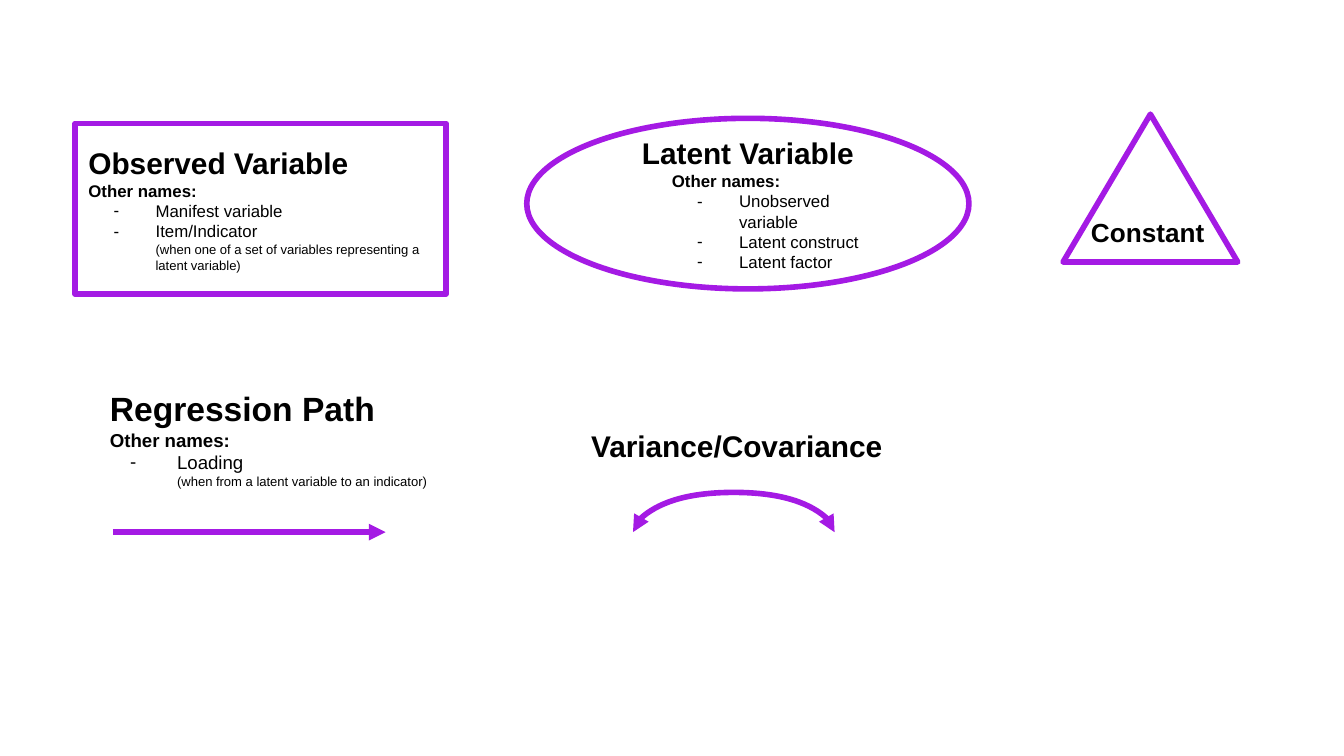
from dataclasses import dataclass

from lxml import etree
from pptx import Presentation
from pptx.dml.color import RGBColor
from pptx.enum.shapes import MSO_CONNECTOR, MSO_SHAPE
from pptx.enum.text import MSO_ANCHOR, MSO_AUTO_SIZE, PP_ALIGN
from pptx.oxml.ns import qn
from pptx.shapes.autoshape import Shape
from pptx.shapes.connector import Connector
from pptx.slide import Slide
from pptx.text.text import TextFrame
from pptx.util import Pt

RECTANGLE, ELLIPSE = MSO_SHAPE.RECTANGLE, MSO_SHAPE.OVAL
TRIANGLE = MSO_SHAPE.ISOSCELES_TRIANGLE
STRAIGHT, CURVE = MSO_CONNECTOR.STRAIGHT, MSO_CONNECTOR.CURVE
LEFT, CENTER = PP_ALIGN.LEFT, PP_ALIGN.CENTER
MIDDLE, TOP = MSO_ANCHOR.MIDDLE, MSO_ANCHOR.TOP
GROW = MSO_AUTO_SIZE.SHAPE_TO_FIT_TEXT


@dataclass(frozen=True)
class Theme:
    font: str = "Arial"
    text: RGBColor = RGBColor(0, 0, 0)
    fill: RGBColor = RGBColor(255, 255, 255)
    accent: RGBColor = RGBColor(0xA4, 0x1A, 0xE4)
    line: float = 3
    inset: float = 7.2
    large_heading: float = 18
    heading: float = 16
    label: float = 14
    large_body: float = 10
    body: float = 9
    note: float = 7


THEME = Theme()


@dataclass(frozen=True)
class Box:
    left: float
    top: float
    width: float
    height: float


@dataclass(frozen=True)
class Line:
    """One paragraph; each piece is a text and its size, on its own line."""
    pieces: tuple[tuple[str, float], ...]
    bold: bool = True
    align: PP_ALIGN = LEFT
    margin: float = 0
    hanging: float = 0


@dataclass(frozen=True)
class Symbol:
    kind: MSO_SHAPE
    box: Box
    lines: tuple[Line, ...] = ()


@dataclass(frozen=True)
class Caption:
    box: Box
    lines: tuple[Line, ...]


def heading(text: str, size: float = THEME.heading, align: PP_ALIGN = LEFT) -> Line:
    return Line(((text, size),), align=align)


def item(*pieces: tuple[str, float], margin: float = 36, hanging: float = 22.5) -> Line:
    return Line(pieces, bold=False, margin=margin, hanging=hanging)


OTHER_NAMES = "Other names:"
SYMBOLS = (
    Symbol(RECTANGLE, Box(40.3, 66.2, 198.7, 91.4), (
        heading("Observed Variable"),
        Line(((OTHER_NAMES, THEME.body),)),
        item(("Manifest variable", THEME.body)),
        item(("Item/Indicator", THEME.body),
             ("(when one of a set of variables representing a latent variable)", THEME.note)),
    )),
    Symbol(ELLIPSE, Box(282.2, 63.4, 236.9, 91.4), (
        heading("Latent Variable", align=CENTER),
        Line(((OTHER_NAMES, THEME.body),), margin=36),
        *(item((name, THEME.body), margin=72)
          for name in ("Unobserved variable", "Latent construct", "Latent factor")),
    )),
    Symbol(TRIANGLE, Box(569.5, 61.2, 93.6, 79.2)),
)
CAPTIONS = (
    Caption(Box(51.8, 200.9, 215.3, 74.2), (
        Line((("Regression Path", THEME.large_heading), (OTHER_NAMES, THEME.large_body))),
        item(("Loading ", THEME.large_body),
             ("(when from a latent variable to an indicator)", THEME.note), hanging=25.2),
    )),
    Caption(Box(309.6, 221.8, 184.3, 33.8), (heading("Variance/Covariance"),)),
    Caption(Box(577.4, 108.7, 91.4, 31.7), (heading("Constant", THEME.label),)),
)


def write_lines(frame: TextFrame, lines: tuple[Line, ...], anchor: MSO_ANCHOR) -> None:
    frame.word_wrap = True
    frame.vertical_anchor = anchor
    frame.margin_left = frame.margin_right = Pt(THEME.inset)
    frame.margin_top = frame.margin_bottom = Pt(THEME.inset)
    for index, line in enumerate(lines):
        paragraph = frame.add_paragraph() if index else frame.paragraphs[0]
        paragraph.alignment = line.align
        properties = paragraph._p.get_or_add_pPr()
        properties.set("marL", str(Pt(line.margin)))
        properties.set("indent", str(-Pt(line.hanging)))
        if line.hanging:
            color = etree.SubElement(properties, qn("a:buClr"))
            etree.SubElement(color, qn("a:srgbClr"), val=str(THEME.text))
            etree.SubElement(properties, qn("a:buFont"), typeface=THEME.font)
            etree.SubElement(properties, qn("a:buChar"), char="-")
        paragraph.font.name = THEME.font
        paragraph.font.color.rgb = THEME.text
        paragraph.font.bold = line.bold
        for position, (text, size) in enumerate(line.pieces):
            if position:
                paragraph.add_line_break()
            run = paragraph.add_run()
            run.text = text
            run.font.size = Pt(size)


def style_line(shape: Shape | Connector) -> None:
    shape.line.color.rgb = THEME.accent
    shape.line.width = Pt(THEME.line)
    etree.SubElement(shape.line._get_or_add_ln(), qn("a:round"))


def draw_symbol(slide: Slide, symbol: Symbol) -> None:
    box = symbol.box
    shape = slide.shapes.add_shape(
        symbol.kind, Pt(box.left), Pt(box.top), Pt(box.width), Pt(box.height))
    shape.shadow.inherit = False
    shape.fill.solid()
    shape.fill.fore_color.rgb = THEME.fill
    style_line(shape)
    write_lines(shape.text_frame, symbol.lines, MIDDLE)


def draw_caption(slide: Slide, caption: Caption) -> None:
    box = caption.box
    text_box = slide.shapes.add_textbox(
        Pt(box.left), Pt(box.top), Pt(box.width), Pt(box.height))
    write_lines(text_box.text_frame, caption.lines, TOP)
    text_box.text_frame.auto_size = GROW


def draw_arrow(slide: Slide, kind: MSO_CONNECTOR, start: tuple[float, float],
               end: tuple[float, float], heads: tuple[str, ...]) -> Connector:
    arrow = slide.shapes.add_connector(kind, *map(Pt, start + end))
    style_line(arrow)
    for head in heads:
        etree.SubElement(arrow.line._get_or_add_ln(), qn(head), type="triangle")
    etree.SubElement(arrow._element.spPr, qn("a:effectLst"))
    return arrow


def draw_arc(slide: Slide, left: float, right: float, base: float, rise: float) -> None:
    """Draw a two-headed arc as a thin upright connector turned by 270 degrees."""
    thickness = 0.05
    middle, half = (left + right) / 2, (right - left) / 2
    arc = draw_arrow(slide, CURVE, (middle + thickness, base - half),
                     (middle, base + half), ("a:headEnd", "a:tailEnd"))
    properties = arc._element.spPr
    properties.find(qn("a:xfrm")).set("rot", str(270 * 60000))
    geometry = properties.find(qn("a:prstGeom"))
    adjustments = geometry.find(qn("a:avLst"))
    if adjustments is None:
        adjustments = etree.SubElement(geometry, qn("a:avLst"))
    etree.SubElement(adjustments, qn("a:gd"), name="adj1",
                     fmla=f"val {round(-rise / thickness * 100000)}")


def main() -> None:
    presentation = Presentation()
    presentation.slide_width, presentation.slide_height = Pt(720), Pt(405)
    slide = presentation.slides.add_slide(presentation.slide_layouts[6])
    for symbol in SYMBOLS:
        draw_symbol(slide, symbol)
    draw_arrow(slide, STRAIGHT, (60.5, 285.1), (206.6, 285.1), ("a:tailEnd",))
    draw_arc(slide, left=339.1, right=447.1, base=285.1, rise=18.75)
    for caption in CAPTIONS:
        draw_caption(slide, caption)
    presentation.save("out.pptx")


if __name__ == "__main__":
    main()
